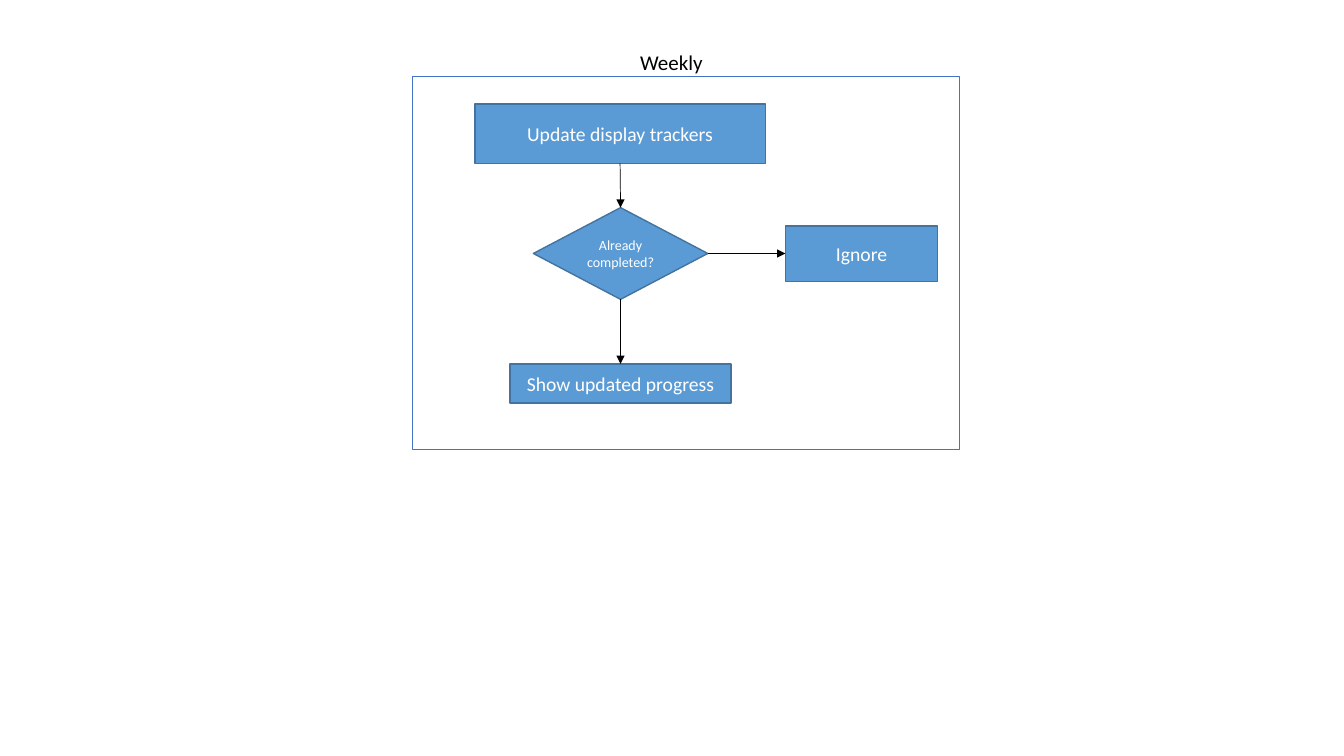
from dataclasses import dataclass

from lxml.etree import SubElement
from pptx import Presentation
from pptx.dml.color import RGBColor
from pptx.enum.shapes import MSO_CONNECTOR, MSO_SHAPE
from pptx.enum.text import MSO_ANCHOR, PP_ALIGN
from pptx.oxml.ns import qn
from pptx.util import Inches, Pt


@dataclass(frozen=True)
class Theme:
    font: str = "Calibri"
    paper: str = "FFFFFF"
    ink: str = "000000"
    frame: str = "4472C4"
    step: str = "5B9BD5"
    step_edge: str = "43739E"
    title_size: float = 15
    step_size: float = 14
    decision_size: float = 10
    edge_width: float = 1
    arrow_width: float = 0.5


THEME = Theme()
TOP, LEFT, BOTTOM, RIGHT = range(4)


def color(value):
    return RGBColor.from_string(value)


def write(box, text, *, size, ink, align=PP_ALIGN.LEFT, anchor=MSO_ANCHOR.TOP, wrap=True):
    frame = box.text_frame
    frame.word_wrap = wrap
    frame.vertical_anchor = anchor
    para = frame.paragraphs[0]
    para.alignment = align
    span = para.add_run()
    span.text = text
    span.font.name = THEME.font
    span.font.size = Pt(size)
    span.font.color.rgb = color(ink)


def add_panel(page, place, fill, edge, kind=MSO_SHAPE.RECTANGLE):
    panel = page.shapes.add_shape(kind, *map(Inches, place))
    panel.shadow.inherit = False
    panel.fill.solid()
    panel.fill.fore_color.rgb = color(fill)
    panel.line.color.rgb = color(edge)
    panel.line.width = Pt(THEME.edge_width)
    return panel


def add_step(page, text, place, kind=MSO_SHAPE.RECTANGLE, size=THEME.step_size):
    step = add_panel(page, place, THEME.step, THEME.step_edge, kind)
    write(step, text, size=size, ink=THEME.paper,
          align=PP_ALIGN.CENTER, anchor=MSO_ANCHOR.MIDDLE)
    return step


def add_title(page, text, place):
    box = page.shapes.add_textbox(*map(Inches, place))
    write(box, text, size=THEME.title_size, ink=THEME.ink, wrap=False)


def add_arrow(page, start, start_side, end, end_side):
    arrow = page.shapes.add_connector(MSO_CONNECTOR.STRAIGHT, 0, 0, 0, 0)
    arrow.begin_connect(start, start_side)
    arrow.end_connect(end, end_side)
    arrow.line.color.rgb = color(THEME.ink)
    arrow.line.width = Pt(THEME.arrow_width)
    SubElement(arrow.line._get_or_add_ln(), qn("a:tailEnd"), type="triangle")
    SubElement(arrow._element.spPr, qn("a:effectLst"))


def main():
    deck = Presentation()
    deck.slide_width, deck.slide_height = Inches(13.33), Inches(7.5)
    page = deck.slides.add_slide(deck.slide_layouts[6])

    add_panel(page, (4.09, 0.76, 5.43, 3.7), THEME.paper, THEME.frame)
    add_title(page, "Weekly", (6.25, 0.44, 0.83, 0.35))

    update = add_step(page, "Update display trackers", (4.71, 1.03, 2.88, 0.59))
    decision = add_step(page, "Already completed?", (5.29, 2.06, 1.73, 0.91),
                        MSO_SHAPE.DIAMOND, THEME.decision_size)
    ignore = add_step(page, "Ignore", (7.79, 2.24, 1.51, 0.55))
    progress = add_step(page, "Show updated progress", (5.06, 3.61, 2.19, 0.39))

    add_arrow(page, update, BOTTOM, decision, TOP)
    add_arrow(page, decision, BOTTOM, progress, TOP)
    add_arrow(page, decision, RIGHT, ignore, LEFT)

    deck.save("out.pptx")


if __name__ == "__main__":
    main()
